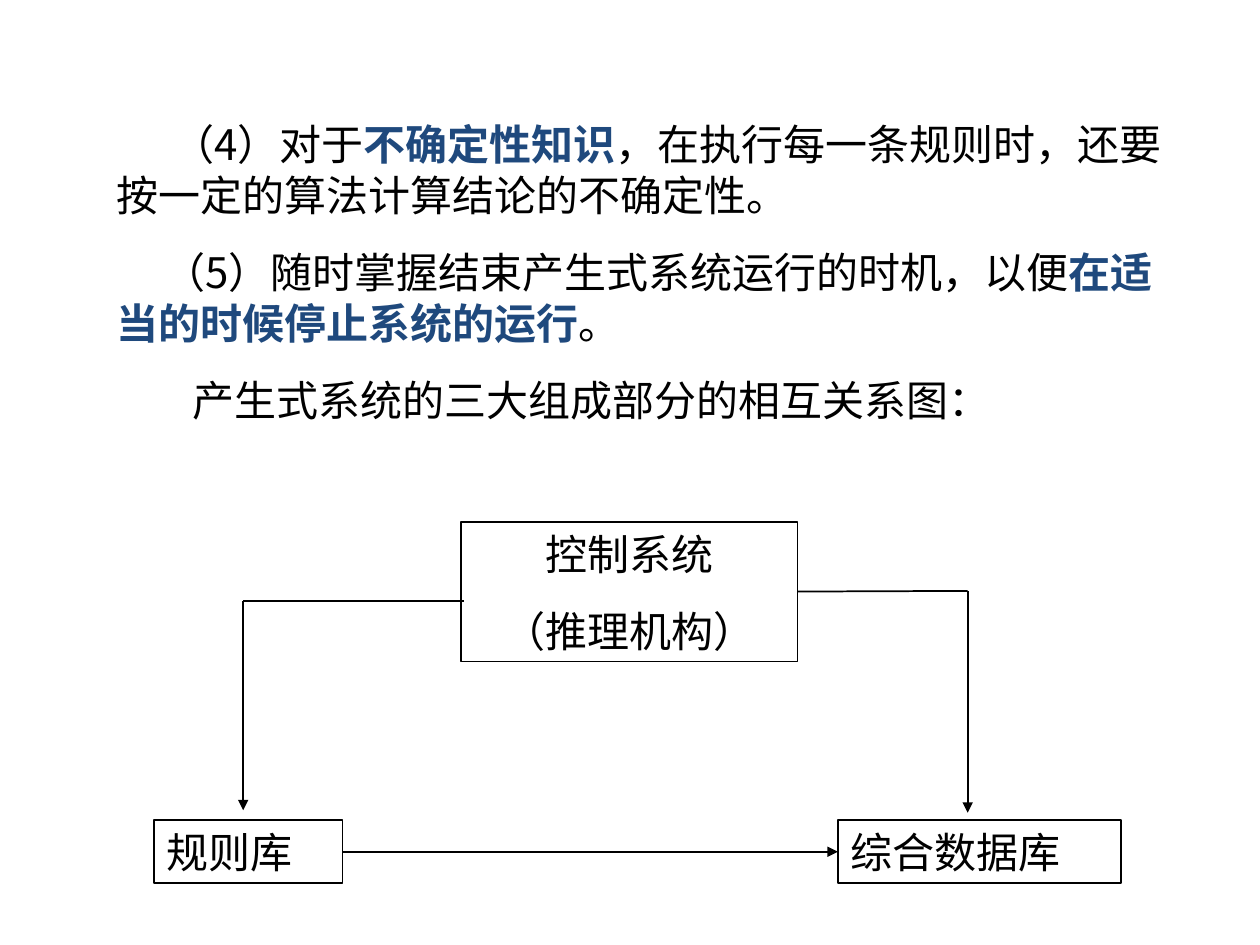
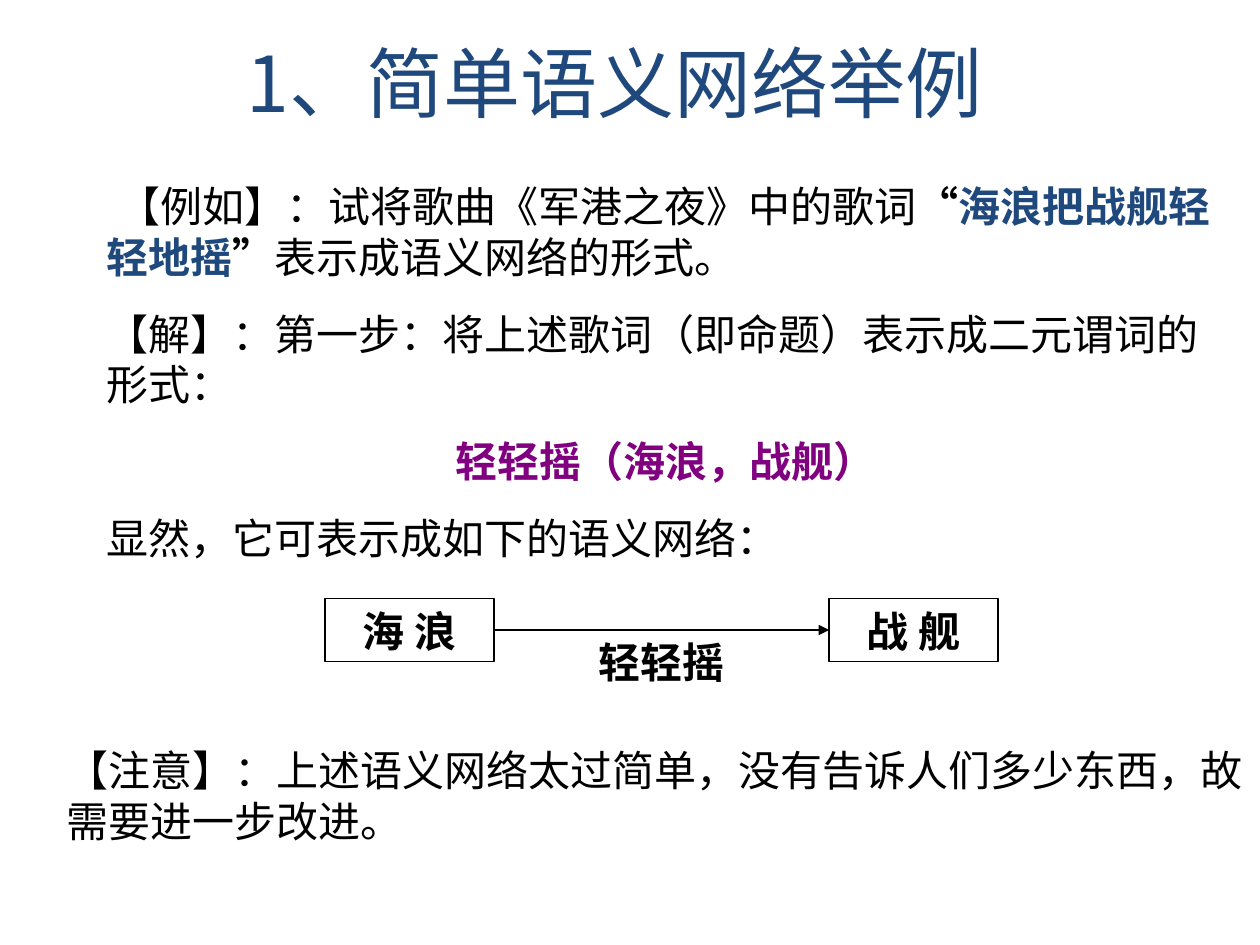
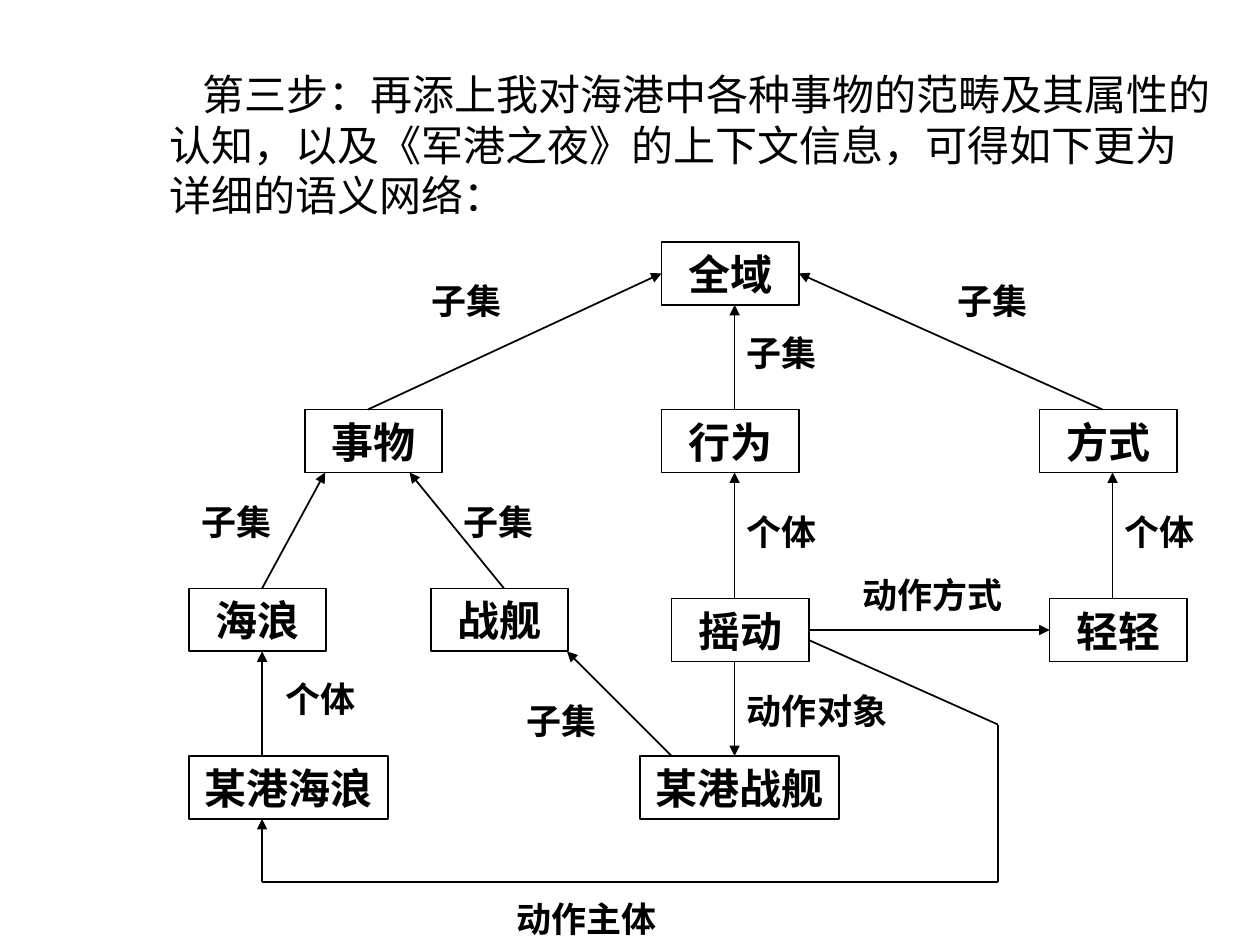
from itertools import pairwise

from lxml.etree import SubElement
from pptx import Presentation
from pptx.dml.color import RGBColor
from pptx.enum.shapes import MSO_CONNECTOR, MSO_SHAPE
from pptx.enum.text import MSO_ANCHOR, MSO_AUTO_SIZE, PP_ALIGN
from pptx.oxml.ns import qn
from pptx.util import Inches, Pt

BLACK = RGBColor(0x00, 0x00, 0x00)
NAVY = RGBColor(0x1F, 0x49, 0x7D)
PURPLE = RGBColor(0x80, 0x00, 0x80)
SANS, SERIF = "Noto Sans CJK SC", "Times New Roman"
BODY, LABEL, TITLE = 24, 20, 44
LEADING = 1.21
TITLE_ONLY, BLANK = 5, 6
LEFT, CENTER = PP_ALIGN.LEFT, PP_ALIGN.CENTER
TOP_SIDE, LEFT_SIDE, BOTTOM_SIDE, RIGHT_SIDE = range(4)
NODE_H, NODE_W, WIDE_NODE_W = 0.5, 1.09, 1.58

# Paragraphs: (first-line indent, alignment, [(text, colour, bold), ...])
CONTROL_TEXT = [
    (0.44, LEFT, [("（4）对于", BLACK, False), ("不确定性知识", NAVY, True),
                  ("，在执行每一条规则时，还要按一定的算法计算结论的不确定性。", BLACK, False)]),
    (0.37, LEFT, [("（5）随时掌握结束产生式系统运行的时机，以便", BLACK, False),
                  ("在适当的时候停止系统的运行", NAVY, True), ("。", BLACK, False)]),
    (0.6, LEFT, [("产生式系统的三大组成部分的相互关系图：", BLACK, False)]),
]
EXAMPLE_TITLE = "1、简单语义网络举例"
EXAMPLE_TEXT = [
    (0.09, LEFT, [("【例如】：试将歌曲《军港之夜》中的歌词", BLACK, False), ("“", BLACK, True),
                  ("海浪把战舰轻轻地摇", NAVY, True), ("”", BLACK, True),
                  ("表示成语义网络的形式。", BLACK, False)]),
    (0, LEFT, [("【解】：第一步：将上述歌词（即命题）表示成二元谓词的形式：", BLACK, False)]),
    (0, CENTER, [("轻轻摇（海浪，战舰）", PURPLE, True)]),
    (0, LEFT, [("显然，它可表示成如下的语义网络：", BLACK, False)]),
]
EXAMPLE_NOTE = [(0, LEFT, [("【注意】：上述语义网络太过简单，没有告诉人们多少东西，故需要进一步改进。",
                            BLACK, False)])]
DETAIL_TEXT = [(0.26, LEFT, [("第三步：再添上我对海港中各种事物的范畴及其属性的认知，"
                              "以及《军港之夜》的上下文信息，可得如下更为详细的语义网络：",
                              BLACK, False)])]

# Semantic network: node -> (left, top)
NODES = {
    "全域": (5.25, 1.92),
    "行为": (5.25, 3.25), "事物": (2.42, 3.25), "方式": (8.25, 3.25),
    "海浪": (1.5, 4.67), "战舰": (3.42, 4.67), "摇动": (5.33, 4.75), "轻轻": (8.33, 4.75),
    "某港海浪": (1.5, 6), "某港战舰": (5.08, 6),
}
# Each route ends in an arrowhead; a stop is a point or (node, side)
ROUTES = [
    [(2.92, 3.25), ("全域", LEFT_SIDE)],
    [(5.83, 3.25), (5.83, 2.42)],
    [(8.75, 3.25), ("全域", RIGHT_SIDE)],
    [(2.08, 4.67), (2.58, 3.75)],
    [(4, 4.67), (3.25, 3.75)],
    [(5.83, 4.75), (5.83, 3.75)],
    [(2.08, 6), (2.08, 5.17)],
    [(5.83, 5.25), (5.83, 6)],
    [(5.33, 6), (4.5, 5.17)],
    [(8.83, 4.75), (8.83, 3.75)],
    [("摇动", RIGHT_SIDE), ("轻轻", LEFT_SIDE)],
    [(6.42, 5.08), (7.92, 5.75), (7.92, 7), (2.08, 7), (2.08, 6.5)],
]
# Relation -> (left, top) of each of its labels
RELATIONS = {
    "子集": [(3.33, 2.17), (7.5, 2.17), (5.83, 2.58), (1.5, 3.92), (3.58, 3.92), (4.08, 5.5)],
    "个体": [(5.83, 4), (8.83, 4), (2.17, 5.33)],
    "动作对象": [(5.83, 5.42)],
    "动作方式": [(6.75, 4.5)],
    "动作主体": [(4, 7.07)],
}


def write(sp, paragraphs, size=BODY, font=SANS):
    tf = sp.text_frame
    tf.word_wrap = True
    tf.auto_size = MSO_AUTO_SIZE.NONE
    tf.vertical_anchor = MSO_ANCHOR.TOP
    for i, (indent, align, runs) in enumerate(paragraphs):
        p = tf.add_paragraph() if i else tf.paragraphs[0]
        p.alignment = align
        p.line_spacing = Pt(round(size * LEADING))
        p.space_before = Pt(15 if i else 0)
        if indent:
            p._p.get_or_add_pPr().set("indent", str(Inches(indent)))
        for text, color, bold in runs:
            r = p.add_run()
            r.text = text
            r.font.size, r.font.bold, r.font.name = Pt(size), bold, font
            r.font.color.rgb = color
            SubElement(r._r.get_or_add_rPr(), qn("a:ea"), typeface=SANS)


def place(at):
    return [Inches(v) for v in at]


def add_text(s, at, paragraphs, **style):
    write(s.shapes.add_textbox(*place(at)), paragraphs, **style)


def add_node(s, at, lines, align=CENTER, font=SERIF):
    sp = s.shapes.add_shape(MSO_SHAPE.RECTANGLE, *place(at))
    sp.shadow.inherit = False
    sp.fill.background()
    sp.line.color.rgb, sp.line.width = BLACK, Pt(1)
    write(sp, [(0, align, [(line, BLACK, font == SERIF)]) for line in lines], font=font)
    return sp


def add_route(s, stops, nodes):
    """Draw straight segments through the stops, with an arrowhead on the last."""
    for start, end in pairwise(stops):
        points = [(0, 0) if stop[0] in nodes else stop for stop in (start, end)]
        c = s.shapes.add_connector(MSO_CONNECTOR.STRAIGHT, *place(points[0] + points[1]))
        if start[0] in nodes:
            c.begin_connect(nodes[start[0]], start[1])
        if end[0] in nodes:
            c.end_connect(nodes[end[0]], end[1])
        c.line.color.rgb, c.line.width = BLACK, Pt(1)
        SubElement(c._element.spPr, qn("a:effectLst"))
    SubElement(c.line._get_or_add_ln(), qn("a:tailEnd"), type="triangle")


def control_slide(prs):
    s = prs.slides.add_slide(prs.slide_layouts[BLANK])
    add_text(s, (0.83, 0.89, 8.67, 2.54), CONTROL_TEXT)
    nodes = {
        "control": add_node(s, (3.66, 4.14, 2.67, 1.11), ["控制系统", "（推理机构）"], font=SANS),
        "rules": add_node(s, (1.22, 6.51, 1.5, NODE_H), ["规则库"], LEFT, SANS),
        "data": add_node(s, (6.65, 6.51, 2.25, NODE_H), ["综合数据库"], LEFT, SANS),
    }
    for route in (
        [("rules", RIGHT_SIDE), ("data", LEFT_SIDE)],
        [(3.68, 4.77), (1.93, 4.77), (1.93, 6.43)],
        [("control", RIGHT_SIDE), (7.68, 4.69), (7.68, 6.45)],
    ):
        add_route(s, route, nodes)


def example_slide(prs):
    s = prs.slides.add_slide(prs.slide_layouts[TITLE_ONLY])
    title = s.shapes.title
    title.left, title.top, title.width, title.height = place((0.39, 0.23, 8.98, 0.84))
    write(title, [(0, CENTER, [(EXAMPLE_TITLE, NAVY, False)])], size=TITLE)
    add_text(s, (0.75, 1.38, 9.06, 3.14), EXAMPLE_TEXT)
    # Two-node network with its relation
    nodes = {name: add_node(s, (x, 4.75, 1.34, NODE_H), [name])
             for name, x in (("海 浪", 2.58), ("战 舰", 6.58))}
    wave, ship = nodes
    add_route(s, [(wave, RIGHT_SIDE), (ship, LEFT_SIDE)], nodes)
    add_text(s, (4.5, 5, 1.5, NODE_H), [(0, CENTER, [("轻轻摇", BLACK, True)])], font=SERIF)
    add_text(s, (0.43, 5.86, 9.57, 0.9), EXAMPLE_NOTE)


def detail_slide(prs):
    s = prs.slides.add_slide(prs.slide_layouts[BLANK])
    add_text(s, (1.25, 0.49, 8.48, 1.32), DETAIL_TEXT)
    nodes = {}
    for name, (x, y) in NODES.items():
        width = WIDE_NODE_W if len(name) > 2 else NODE_W
        nodes[name] = add_node(s, (x, y, width, NODE_H), [name])
    for route in ROUTES:
        add_route(s, route, nodes)
    for name, spots in RELATIONS.items():
        width = 0.83 if len(name) == 2 else 1.33
        for x, y in spots:
            add_text(s, (x, y, width, 0.44), [(0, LEFT, [(name, BLACK, True)])],
                     size=LABEL, font=SERIF)


def main():
    prs = Presentation()
    prs.slide_width, prs.slide_height = Inches(10), Inches(7.5)
    control_slide(prs)
    example_slide(prs)
    detail_slide(prs)
    prs.save("out.pptx")


if __name__ == "__main__":
    main()
